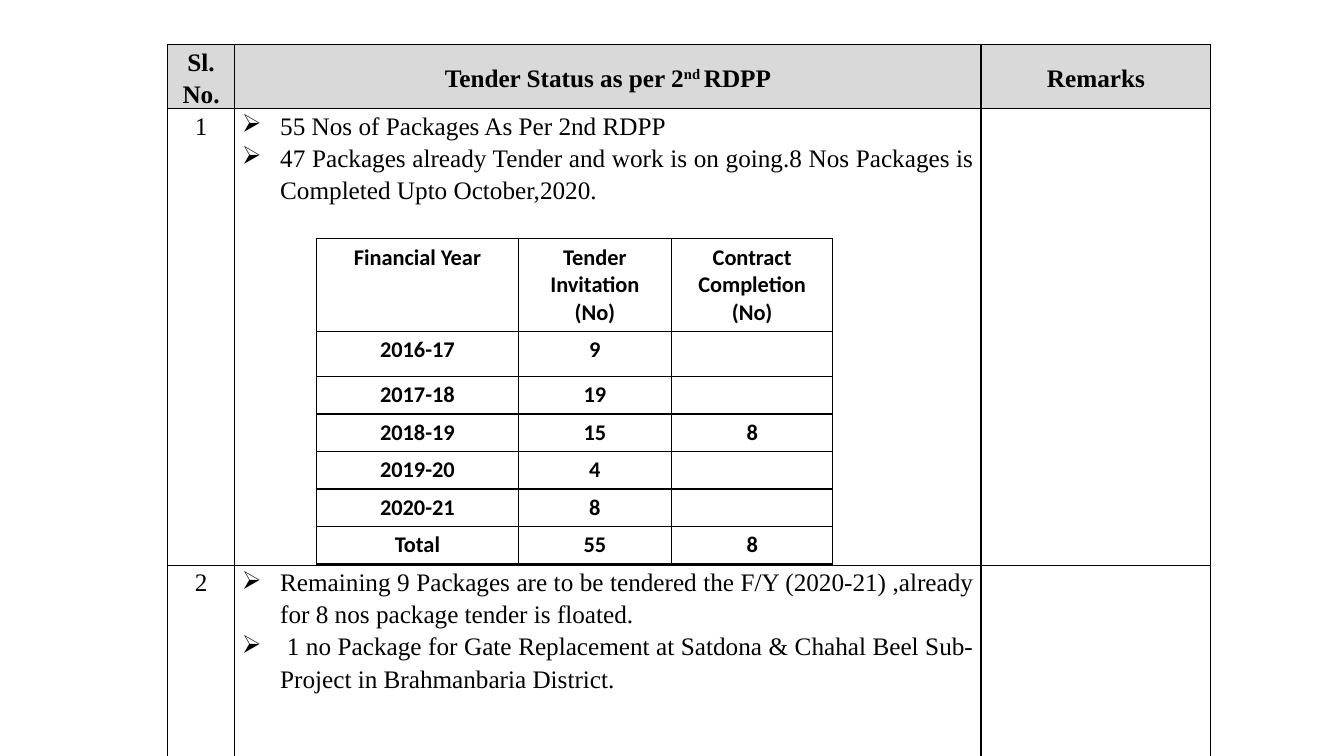
from dataclasses import dataclass

from lxml import etree
from pptx import Presentation
from pptx import util as u
from pptx.dml.color import RGBColor
from pptx.enum import text
from pptx.oxml import ns


@dataclass(frozen=True)
class Theme:
    ink: str = "000000"
    head: str = "D9D9D9"
    serif: str = "Times New Roman"
    sans: str = "Calibri"
    large: int = 18
    small: int = 16
    rule: int = 1


THEME = Theme()
CENTER = text.PP_ALIGN.CENTER
JUSTIFY = text.PP_ALIGN.JUSTIFY
MIDDLE = text.MSO_ANCHOR.MIDDLE

STATUS = [
    ["Sl. No.", [["Tender Status as per 2", "^nd ", "RDPP"]], "Remarks"],
    ["1", ["55 Nos of Packages As Per 2nd RDPP",
           "47 Packages already Tender and work is on going.8 Nos Packages "
           "is Completed Upto October,2020."], ""],
    ["2", ["Remaining 9 Packages are to be tendered the F/Y (2020-21) ,already "
           "for 8 nos package tender is floated.",
           " 1 no Package for Gate Replacement at Satdona & Chahal Beel "
           "Sub-Project in Brahmanbaria District."], ""],
]

YEARS = [
    ["Financial Year", "Tender Invitation (No)", ["Contract Completion", "(No)"]],
    ["2016-17", "9", ""],
    ["2017-18", "19", ""],
    ["2018-19", "15", "8"],
    ["2019-20", "4", ""],
    ["2020-21", "8", ""],
    ["Total", "55", "8"],
]


def add_child(parent, tag, **attrs):
    return etree.SubElement(parent, ns.qn(tag), **attrs)


def add_bullet(para):
    props = para._p.get_or_add_pPr()
    props.set("marL", str(u.Inches(0.38)))
    props.set("indent", str(-u.Inches(0.38)))
    add_child(props, "a:buChar", char="➢")


def write(frame, lines, *, font, size, bold=False, align=CENTER,
          space=None, bullet=False):
    lines = [lines] if isinstance(lines, str) else lines
    for i, line in enumerate(lines):
        para = frame.paragraphs[0] if i == 0 else frame.add_paragraph()
        para.alignment = align
        if space:
            para.line_spacing = space
        if bullet:
            add_bullet(para)
        if not line:
            add_child(para._p, "a:endParaRPr", sz=str(size * 100))
            continue
        for part in [line] if isinstance(line, str) else line:
            run = para.add_run()
            run.text = part.lstrip("^")
            run.font.name = font
            run.font.size = u.Pt(size)
            run.font.bold = bold
            run.font.color.rgb = RGBColor.from_string(THEME.ink)
            if part.startswith("^"):
                run.font._element.set("baseline", "30000")


def dress(cell, fill=None):
    props = cell._tc.get_or_add_tcPr()
    for side in "LRTB":
        line = add_child(props, f"a:ln{side}", w=str(u.Pt(THEME.rule)))
        solid = add_child(line, "a:solidFill")
        add_child(solid, "a:srgbClr", val=THEME.ink)
    if fill:
        cell.fill.solid()
        cell.fill.fore_color.rgb = RGBColor.from_string(fill)
    else:
        cell.fill.background()


def add_grid(slide, left, top, widths, heights):
    box = slide.shapes.add_table(
        len(heights), len(widths), u.Inches(left), u.Inches(top),
        u.Inches(sum(widths)), u.Inches(sum(heights)))
    grid = box.table
    grid.first_row = grid.horz_banding = False
    for col, width in zip(grid.columns, widths):
        col.width = u.Inches(width)
    for row, height in zip(grid.rows, heights):
        row.height = u.Inches(height)
    return grid


def add_status(slide):
    grid = add_grid(slide, 1.66, 0.44, [0.67, 7.4, 2.28], [0.56, 4.53, 2.34])
    for r, row in enumerate(STATUS):
        for c, lines in enumerate(row):
            cell = grid.cell(r, c)
            head = r == 0
            points = c == 1 and not head
            cell.margin_left = cell.margin_right = u.Inches(0.07)
            cell.margin_top = cell.margin_bottom = 0
            if head:
                cell.vertical_anchor = MIDDLE
            dress(cell, THEME.head if head else None)
            write(cell.text_frame, lines or [""], font=THEME.serif,
                  size=THEME.large, bold=head, space=1.15, bullet=points,
                  align=JUSTIFY if points else CENTER)


def add_years(slide):
    grid = add_grid(slide, 3.14, 2.37, [2, 1.52, 1.6],
                    [0.85, 0.45] + [0.36] * 5)
    for r, row in enumerate(YEARS):
        for c, lines in enumerate(row):
            cell = grid.cell(r, c)
            dress(cell)
            write(cell.text_frame, lines, font=THEME.sans,
                  size=THEME.small, bold=True)


def main():
    deck = Presentation()
    deck.slide_width = u.Inches(13.33)
    deck.slide_height = u.Inches(7.5)
    slide = deck.slides.add_slide(deck.slide_layouts[6])
    add_status(slide)
    add_years(slide)
    deck.save("out.pptx")


if __name__ == "__main__":
    main()
